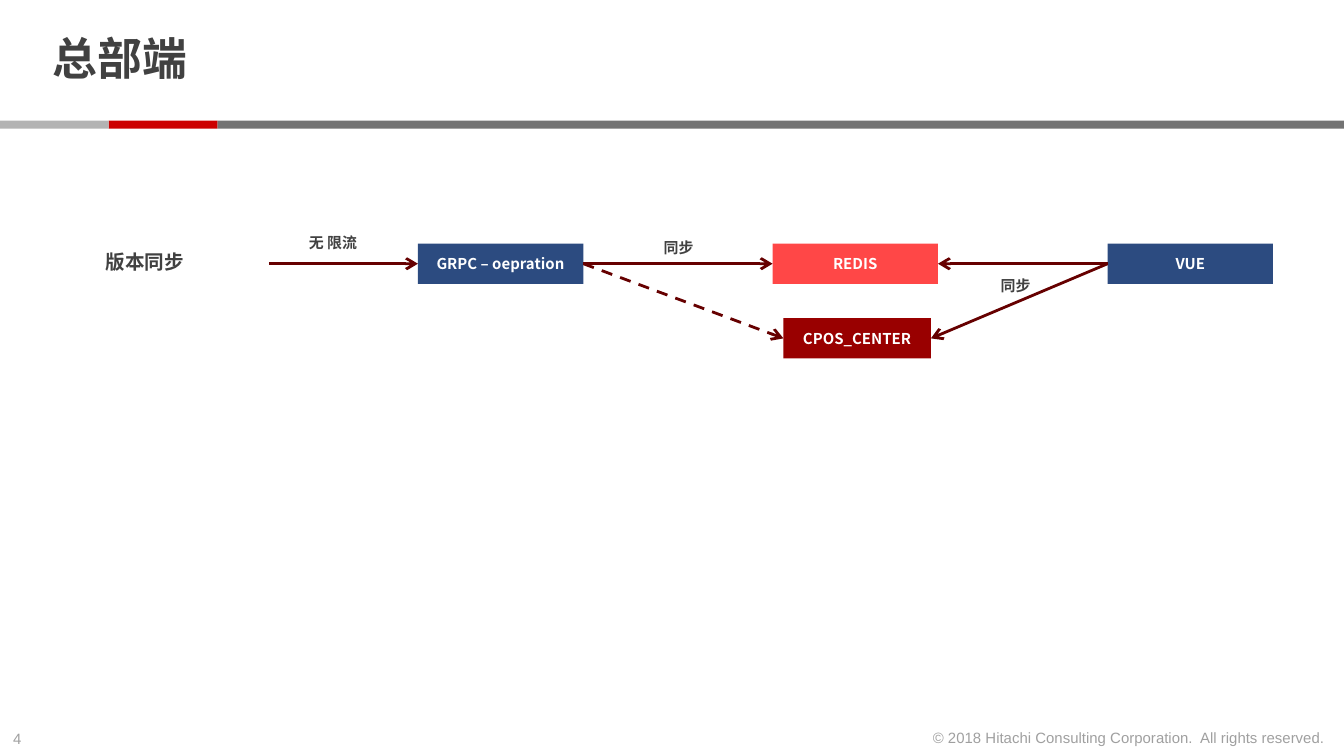
from lxml import etree
from pptx import Presentation
from pptx.dml.color import RGBColor
from pptx.enum.dml import MSO_LINE
from pptx.enum.shapes import MSO_CONNECTOR, MSO_SHAPE
from pptx.enum.text import MSO_ANCHOR, MSO_AUTO_SIZE, PP_ALIGN
from pptx.oxml.ns import qn
from pptx.util import Pt

LEFT, CENTER, RIGHT = PP_ALIGN.LEFT, PP_ALIGN.CENTER, PP_ALIGN.RIGHT
MIDDLE = MSO_ANCHOR.MIDDLE
NO_FIT, GROW = MSO_AUTO_SIZE.NONE, MSO_AUTO_SIZE.SHAPE_TO_FIT_TEXT
RECTANGLE = MSO_SHAPE.RECTANGLE
STRAIGHT = MSO_CONNECTOR.STRAIGHT
DASH = MSO_LINE.DASH

INK = RGBColor(0x41, 0x41, 0x41)
WHITE = RGBColor(0xFF, 0xFF, 0xFF)
BLUE = RGBColor(0x2C, 0x4B, 0x80)
CORAL = RGBColor(0xFF, 0x47, 0x47)
CRIMSON = RGBColor(0x99, 0x00, 0x00)
MAROON = RGBColor(0x66, 0x00, 0x00)
RED = RGBColor(0xCC, 0x00, 0x00)
DARK_GRAY = RGBColor(0x73, 0x73, 0x73)
LIGHT_GRAY = RGBColor(0xB3, 0xB3, 0xB3)

LATIN = "Arial"
CHINESE = "Noto Sans CJK SC"


def write_text(frame, text, size=8, color=INK, font=LATIN, bold=True,
               align=LEFT, alpha=None):
    para = frame.paragraphs[0]
    para.alignment = align
    span = para.add_run()
    span.text = text
    span.font.size = Pt(size)
    span.font.bold = bold
    span.font.name = font
    span.font.color.rgb = color
    properties = span.font._element
    etree.SubElement(properties, qn("a:ea")).set("typeface", CHINESE)
    if alpha:
        fill_color = properties.find(qn("a:solidFill"))[0]
        etree.SubElement(fill_color, qn("a:alpha")).set("val", str(alpha * 1000))
    return para


def add_label(page, area, text, **text_format):
    box = page.shapes.add_textbox(*map(Pt, area))
    box.text_frame.word_wrap = False
    box.text_frame.auto_size = GROW
    write_text(box.text_frame, text, **text_format)


def add_block(page, area, color):
    block = page.shapes.add_shape(RECTANGLE, *map(Pt, area))
    block.shadow.inherit = False
    block.fill.solid()
    block.fill.fore_color.rgb = color
    block.line.fill.background()
    return block


def add_node(page, area, text, color):
    node = add_block(page, area, color)
    node.text_frame.word_wrap = True
    node.text_frame.vertical_anchor = MIDDLE
    write_text(node.text_frame, text, color=WHITE, font=CHINESE, align=CENTER)


def add_arrow(page, start, end, dash=None):
    arrow = page.shapes.add_connector(STRAIGHT, *map(Pt, start + end))
    arrow.line.color.rgb = MAROON
    arrow.line.width = Pt(1.5)
    if dash:
        arrow.line.dash_style = dash
    tail = etree.SubElement(arrow.line._get_or_add_ln(), qn("a:tailEnd"))
    tail.set("type", "arrow")
    etree.SubElement(arrow._element.spPr, qn("a:effectLst"))


def left_middle(area):
    left, top, width, height = area
    return left, top + height / 2


def right_middle(area):
    left, top, width, height = area
    return left + width, top + height / 2


def place_title(page, area, text):
    title = page.shapes.title
    title.left, title.top, title.width, title.height = map(Pt, area)
    frame = title.text_frame
    frame.auto_size = NO_FIT
    frame.word_wrap = True
    frame.vertical_anchor = MIDDLE
    frame.margin_top = frame.margin_bottom = 0
    para = write_text(frame, text, size=24)
    para.line_spacing = 0.85


def place_band(page, area):
    left, top, width, height = area
    step = 58.25
    add_block(page, (left + 2 * step, top, width - 2 * step, height), DARK_GRAY)
    add_block(page, (left + step, top, step, height), RED)
    add_block(page, (left, top, step, height), LIGHT_GRAY)


def place_footer(page, area):
    left, top, width, height = area
    faded = {"bold": False, "alpha": 50}
    add_label(page, (left, top + 0.5, 24.5, height), "4", **faded)
    add_label(page, (left + width - 227.5, top, 227.5, height),
              "© 2018 Hitachi Consulting Corporation.\u00a0 All rights reserved.",
              align=RIGHT, **faded)


def place_flow(page, area):
    left, top, width, height = area
    node_width, node_height = 88.6, 21.6
    grpc = (left + 174.2, top, node_width, node_height)
    redis = (left + 364.2, top, node_width, node_height)
    vue = (left + width - node_width, top, node_width, node_height)
    center = (left + 370, top + height - node_height, 79, node_height)

    add_node(page, grpc, "GRPC – oepration", BLUE)
    add_node(page, center, "CPOS_CENTER", CRIMSON)
    add_node(page, redis, "REDIS", CORAL)
    add_node(page, vue, "VUE", BLUE)

    entry = (left + 94.3, top + node_height / 2)
    add_arrow(page, left_middle(vue), right_middle(redis))
    add_arrow(page, left_middle(vue), right_middle(center))
    add_arrow(page, entry, left_middle(grpc))
    add_arrow(page, right_middle(grpc), left_middle(redis))
    add_arrow(page, right_middle(grpc), left_middle(center), dash=DASH)

    add_label(page, (left, top, 56.6, 20), "版本同步", size=10.5)
    add_label(page, (left + 108.7, top - 9, 41, 17), "无 限流")
    add_label(page, (left + 298.8, top - 6.4, 31, 17), "同步")
    add_label(page, (left + 479.3, top + 14, 31, 17), "同步")


def main():
    deck = Presentation()
    deck.slide_width, deck.slide_height = Pt(720), Pt(405)
    page = deck.slides.add_slide(deck.slide_layouts[5])
    place_footer(page, (0, 386.7, 717, 17))
    place_band(page, (0, 64.6, 720, 4.4))
    place_title(page, (20.9, 4.3, 555, 57.6), "总部端")
    place_flow(page, (49.7, 130.5, 632.3, 61.6))
    deck.save("out.pptx")


if __name__ == "__main__":
    main()
